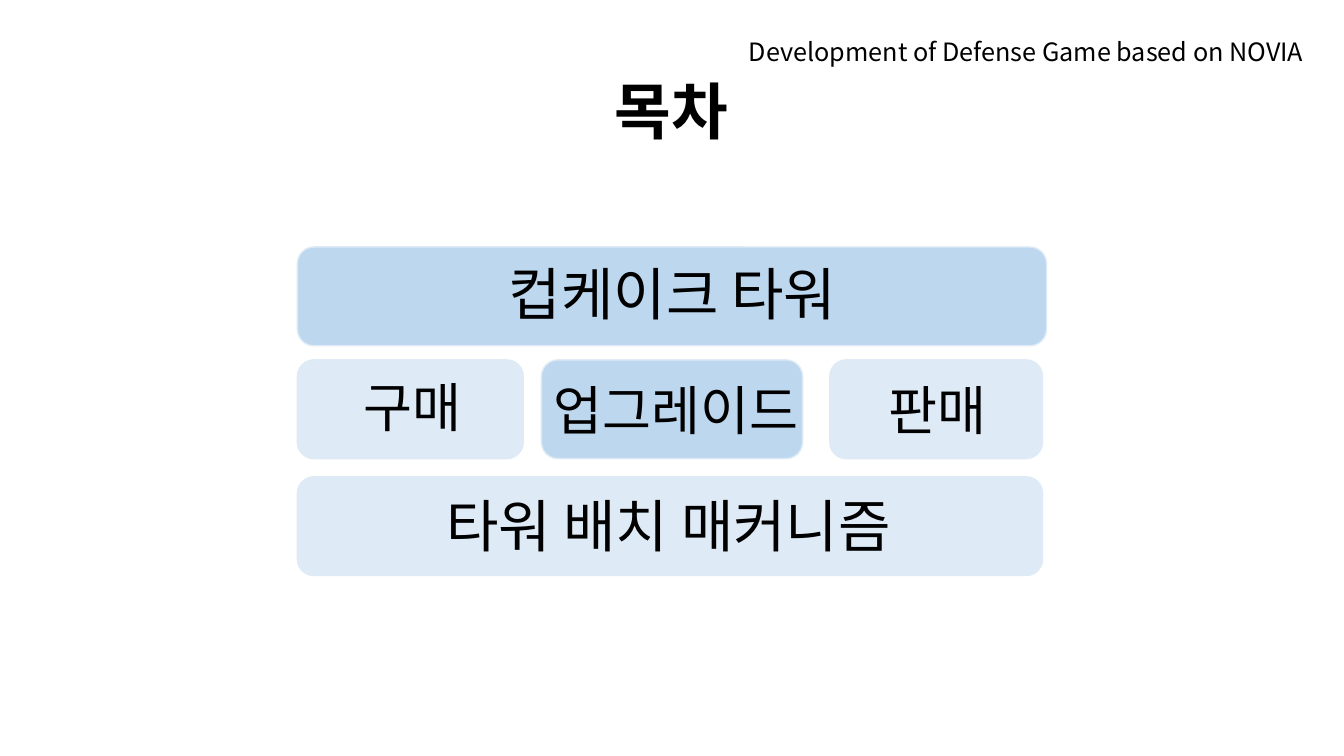
from dataclasses import dataclass

from lxml import etree
from pptx import Presentation
from pptx import util as u
from pptx.dml import color
from pptx.enum import shapes, text
from pptx.oxml import ns
from pptx.slide import Slide

FONT = "Noto Sans CJK KR"
BLACK = "000000"
PALE_BLUE = "DEEBF7"
STRONG_BLUE = "BDD7EE"
PANEL_LEFT = 2.95
PANEL_HEIGHT = 0.98


@dataclass(frozen=True)
class Panel:
    left: float
    top: float
    width: float
    fill: str = PALE_BLUE


@dataclass(frozen=True)
class Label:
    wording: str
    left: float
    top: float
    width: float
    height: float
    size: float
    bold: bool = False
    centred: bool = True
    middle: bool = False
    grows: bool = False
    line_spacing: float = 1.0
    space_before: float = 0


PANELS = [
    Panel(PANEL_LEFT, 2.45, 7.43, STRONG_BLUE),
    Panel(PANEL_LEFT, 3.57, 2.24),
    Panel(5.37, 3.57, 2.59, STRONG_BLUE),
    Panel(8.23, 3.57, 2.11),
    Panel(PANEL_LEFT, 4.73, 7.39),
]

LABELS = [
    Label("목차", 6, 0.41, 11.5, 1.45, 44, bold=True, centred=False,
          middle=True, line_spacing=0.9),
    Label("Development of Defense Game based on NOVIA", 7.33, 0.31, 6.58, 0.4, 18,
          centred=False, grows=True),
    Label("컵케이크 타워", 3.69, 2.65, 5.96, 0.69, 40.7,
          line_spacing=0.8, space_before=10),
    Label("구매", 3.27, 3.74, 1.65, 0.69, 38, line_spacing=0.9, space_before=10),
    Label("업그레이드", 5.31, 3.69, 2.8, 0.74, 38, grows=True),
    Label("판매", 8.39, 3.69, 1.81, 0.74, 38, grows=True),
    Label("타워 배치 매커니즘", 3.65, 4.95, 5.96, 0.69, 40.7,
          line_spacing=0.8, space_before=10),
]


def rgb(value: str) -> color.RGBColor:
    return color.RGBColor.from_string(value)


def draw_panel(slide: Slide, panel: Panel) -> None:
    box = slide.shapes.add_shape(
        shapes.MSO_SHAPE.ROUNDED_RECTANGLE,
        u.Inches(panel.left), u.Inches(panel.top),
        u.Inches(panel.width), u.Inches(PANEL_HEIGHT))
    box.shadow.inherit = False
    box.fill.solid()
    box.fill.fore_color.rgb = rgb(panel.fill)
    box.line.color.rgb = rgb(PALE_BLUE)
    box.line.width = u.Pt(1)


def draw_label(slide: Slide, label: Label) -> None:
    frame = slide.shapes.add_textbox(
        u.Inches(label.left), u.Inches(label.top),
        u.Inches(label.width), u.Inches(label.height)).text_frame
    frame.word_wrap = True
    frame.auto_size = (text.MSO_AUTO_SIZE.SHAPE_TO_FIT_TEXT if label.grows
                       else text.MSO_AUTO_SIZE.NONE)
    frame.vertical_anchor = (text.MSO_ANCHOR.MIDDLE if label.middle
                             else text.MSO_ANCHOR.TOP)
    paragraph = frame.paragraphs[0]
    paragraph.alignment = text.PP_ALIGN.CENTER if label.centred else text.PP_ALIGN.LEFT
    paragraph.line_spacing = label.line_spacing
    paragraph.space_before = u.Pt(label.space_before)
    run = paragraph.add_run()
    run.text = label.wording
    run.font.size = u.Pt(label.size)
    run.font.bold = label.bold
    run.font.color.rgb = rgb(BLACK)
    run.font.name = FONT
    properties = run._r.get_or_add_rPr()
    etree.SubElement(properties, ns.qn("a:ea"), typeface=FONT)


def main() -> None:
    presentation = Presentation()
    presentation.slide_width = u.Inches(13.33)
    presentation.slide_height = u.Inches(7.5)
    contents = presentation.slides.add_slide(presentation.slide_layouts[6])
    for panel in PANELS:
        draw_panel(contents, panel)
    for label in LABELS:
        draw_label(contents, label)
    presentation.save("out.pptx")


if __name__ == "__main__":
    main()
